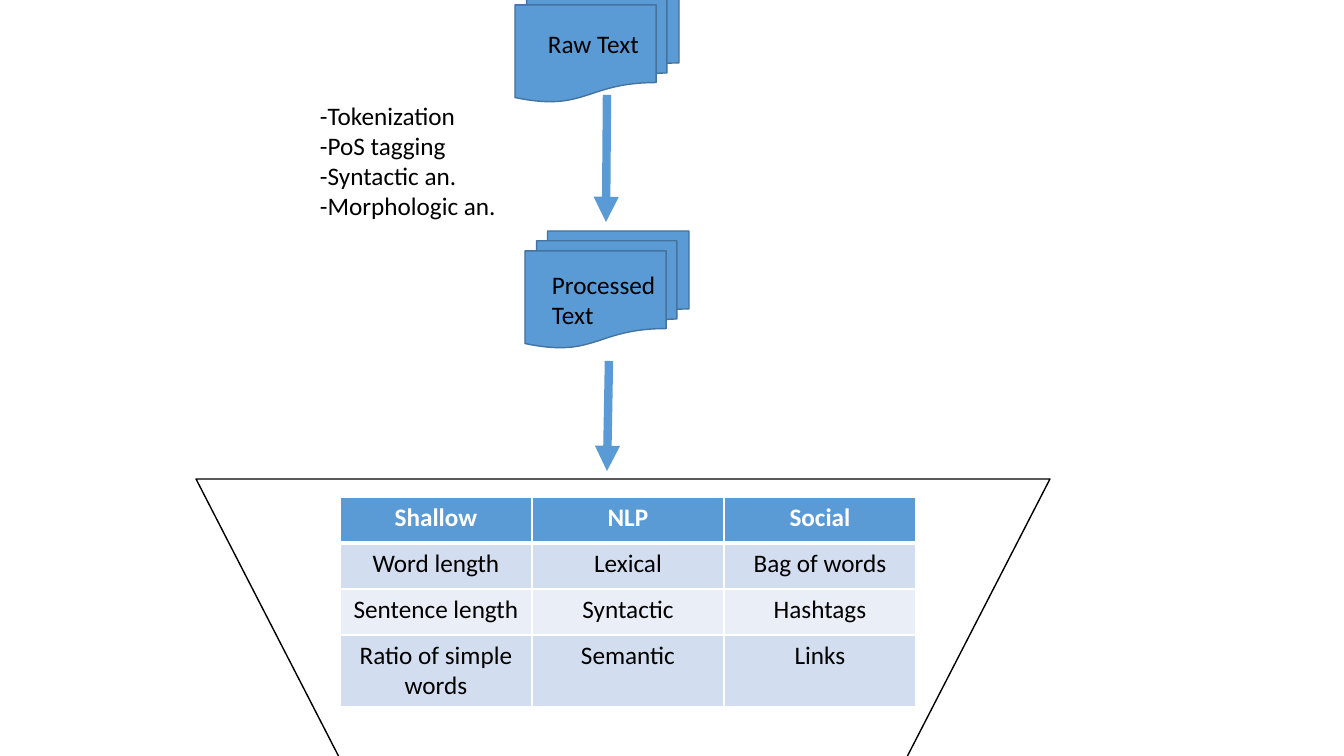
from dataclasses import dataclass

import pptx
import pptx.dml.color
import pptx.enum.shapes
import pptx.enum.text
import pptx.oxml
import pptx.oxml.ns
import pptx.util

PIXEL = 914400 / 100.8
FONT, TEXT_SIZE = "Calibri", 18
BLUE, DARK_BLUE, WHITE, BLACK = "5B9BD5", "43739E", "FFFFFF", "000000"
BANDS = ("D2DEEF", "EAEFF7")
PRESETS = pptx.enum.shapes.MSO_SHAPE


@dataclass
class Box:
    left: int
    top: int
    width: int
    height: int

    def emu(self) -> tuple:
        return tuple(px(v) for v in (self.left, self.top, self.width, self.height))


@dataclass
class Document:
    stack: Box
    label: Box
    lines: tuple


@dataclass
class Arrow:
    start: tuple
    end: tuple


def px(pixels: int) -> pptx.util.Emu:
    return pptx.util.Emu(round(pixels * PIXEL))


def color(hex_text: str) -> pptx.dml.color.RGBColor:
    return pptx.dml.color.RGBColor.from_string(hex_text)


def add_run(paragraph, text: str, ink: str = BLACK, bold: bool = False) -> None:
    run = paragraph.add_run()
    run.text = text
    run.font.name = FONT
    run.font.size = pptx.util.Pt(TEXT_SIZE)
    run.font.bold = bold
    run.font.color.rgb = color(ink)


def add_text(shapes, box: Box, lines: tuple) -> None:
    frame = shapes.add_textbox(*box.emu()).text_frame
    frame.word_wrap = True
    for index, line in enumerate(lines):
        paragraph = frame.add_paragraph() if index else frame.paragraphs[0]
        add_run(paragraph, line)


def add_preset(shapes, preset, box: Box, fill: str, outline: str) -> None:
    shape = shapes.add_shape(preset, *box.emu())
    shape.shadow.inherit = False
    shape.fill.solid()
    shape.fill.fore_color.rgb = color(fill)
    shape.line.color.rgb = color(outline)
    shape.line.width = pptx.util.Pt(1)


def add_document(shapes, document: Document) -> None:
    group = shapes.add_group_shape()
    add_preset(group.shapes, PRESETS.FLOWCHART_MULTIDOCUMENT, document.stack, BLUE, DARK_BLUE)
    add_text(group.shapes, document.label, document.lines)


def add_arrow(shapes, arrow: Arrow) -> None:
    straight = pptx.enum.shapes.MSO_CONNECTOR.STRAIGHT
    connector = shapes.add_connector(straight, *(px(v) for v in arrow.start + arrow.end))
    connector.line.color.rgb = color(BLUE)
    connector.line.width = pptx.util.Pt(6)
    line = connector.line._get_or_add_ln()
    pptx.oxml.ns.qn("a:tailEnd")
    line.append(pptx.oxml.parse_xml(
        f'<a:tailEnd {pptx.oxml.ns.nsdecls("a")} type="triangle"/>'))
    connector._element.spPr.append(pptx.oxml.parse_xml(
        f'<a:effectLst {pptx.oxml.ns.nsdecls("a")}/>'))


def add_borders(cell, top: int, bottom: int) -> None:
    properties = cell._tc.get_or_add_tcPr()
    for side, points in (("L", 1), ("R", 1), ("T", top), ("B", bottom)):
        properties.append(pptx.oxml.parse_xml(
            f'<a:ln{side} {pptx.oxml.ns.nsdecls("a")} w="{pptx.util.Pt(points)}">'
            f'<a:solidFill><a:srgbClr val="{WHITE}"/></a:solidFill></a:ln{side}>'))


def add_feature_table(shapes, box: Box, heights: tuple, rows: tuple) -> None:
    table = shapes.add_table(len(rows), len(rows[0]), *box.emu()).table
    for column in table.columns:
        column.width = px(box.width // len(rows[0]))
    for row_index, texts in enumerate(rows):
        header = row_index == 0
        table.rows[row_index].height = px(heights[row_index])
        for column_index, text in enumerate(texts):
            cell = table.cell(row_index, column_index)
            add_borders(cell, 3 if row_index == 1 else 1, 3 if header else 1)
            cell.fill.solid()
            cell.fill.fore_color.rgb = color(BLUE if header else BANDS[(row_index - 1) % 2])
            paragraph = cell.text_frame.paragraphs[0]
            paragraph.alignment = pptx.enum.text.PP_ALIGN.CENTER
            add_run(paragraph, text, WHITE if header else BLACK, header)


PROCESSING_STEPS = ("-Tokenization", "-PoS tagging", "-Syntactic an.", "-Morphologic an.")
ARROWS = (Arrow((607, 95), (606, 222)), Arrow((609, 361), (607, 471)))
DOCUMENTS = (
    Document(Box(525, 231, 164, 117), Box(542, 264, 128, 72), ("Processed", "Text")),
    Document(Box(515, -15, 164, 117), Box(538, 23, 117, 40), ("Raw Text",)),
)
FEATURES = (
    ("Shallow", "NLP", "Social"),
    ("Word length", "Lexical", "Bag of words"),
    ("Sentence length", "Syntactic", "Hashtags"),
    ("Ratio of simple words", "Semantic", "Links"),
)

presentation = pptx.Presentation()
presentation.slide_width, presentation.slide_height = px(1344), px(756)
slide = presentation.slides.add_slide(presentation.slide_layouts[6])

# Funnel and the arrows leading into it
add_preset(slide.shapes, PRESETS.FLOWCHART_MANUAL_OPERATION, Box(196, 479, 854, 332), WHITE, BLACK)
for arrow in ARROWS:
    add_arrow(slide.shapes, arrow)

# Feature table inside the funnel
add_feature_table(slide.shapes, Box(340, 497, 576, 209), (46, 46, 46, 71), FEATURES)

# Document stacks and processing steps
for document in DOCUMENTS:
    add_document(slide.shapes, document)
add_text(slide.shapes, Box(310, 95, 232, 132), PROCESSING_STEPS)

presentation.save("out.pptx")
